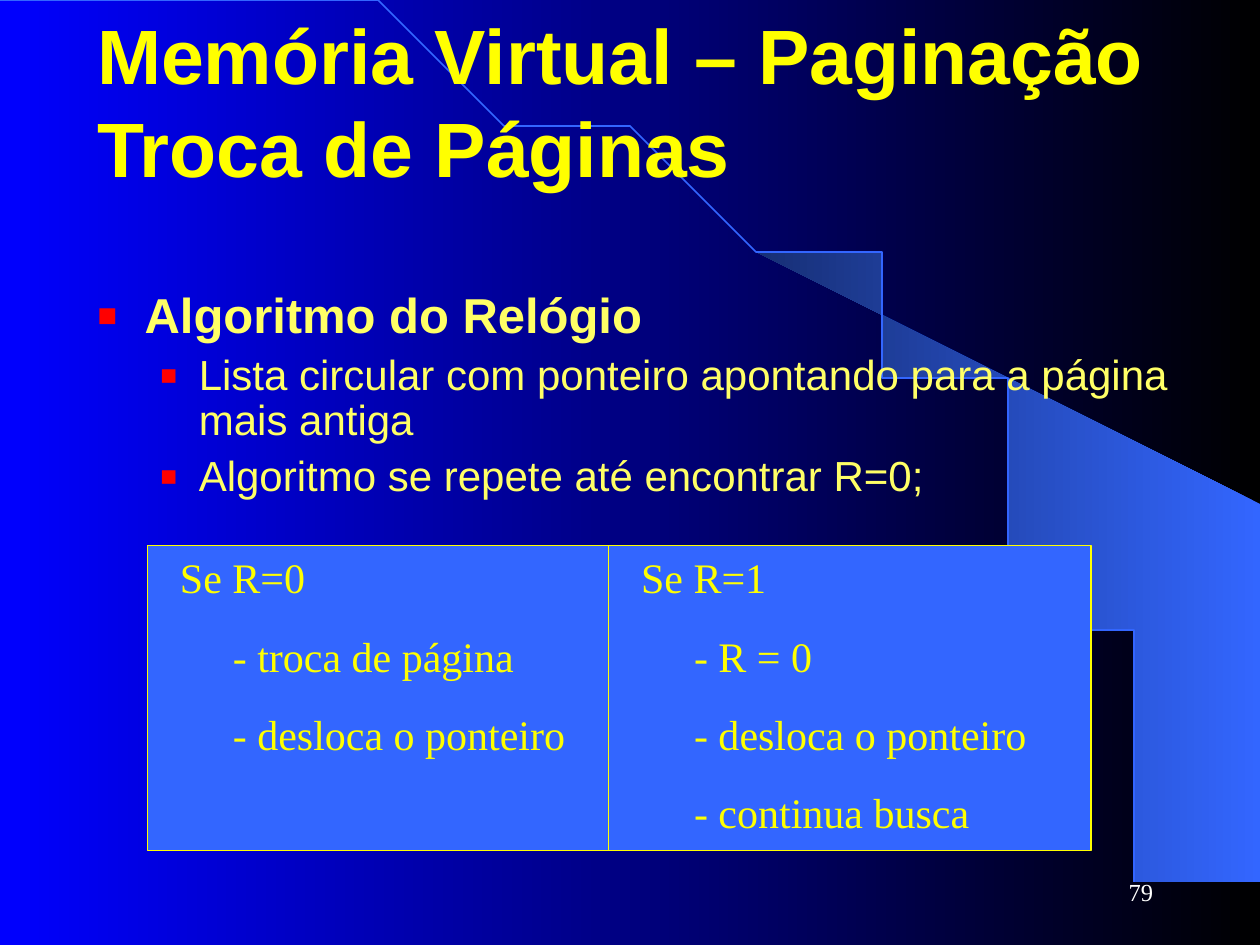
"""Build the slide on page replacement with the clock algorithm."""
from dataclasses import dataclass
from math import asin, cos, pi, sin

from lxml.etree import SubElement
from pptx import Presentation
from pptx.dml.color import RGBColor
from pptx.enum.shapes import MSO_SHAPE as SHAPE
from pptx.enum.text import MSO_ANCHOR as ANCHOR, MSO_AUTO_SIZE as AUTO, PP_ALIGN as ALIGN
from pptx.oxml.ns import qn
from pptx.util import Inches, Pt

ARC_W, ARC_H = 9.2, 7.49
WEDGE_X, EDGE_X, EDGE_Y = 5.89, 9.99, 4.23
BLUE, YELLOW, PALE, RED = "3366FF", "FFFF00", "FFFF66", "FF0000"
SANS, SERIF = "Arial", "Times New Roman"


@dataclass
class Bullet:
    text: str
    size: int
    margin: float
    hang: float
    before: int
    bold: bool = False


@dataclass
class Case:
    left: float
    width: float
    condition: str
    actions: list[str]


BULLETS = [
    Bullet("Algoritmo do Relógio", 28, 0.38, 0.38, 0, True),
    Bullet("Lista circular com ponteiro apontando para a página mais antiga", 24, 0.81, 0.31, 6),
    Bullet("Algoritmo se repete até encontrar R=0;", 24, 0.81, 0.31, 6),
]
CASES = [
    Case(1.17, 3.67, "Se R=0", ["troca de página", "desloca o ponteiro"]),
    Case(4.83, 3.83, "Se R=1", ["R = 0", "desloca o ponteiro", "continua busca"]),
]


def rgb(color: str) -> RGBColor:
    return RGBColor.from_string(color)


def set_gradient(fill, *colors: str) -> None:
    fill.gradient()
    fill.gradient_angle = 180
    for i, (stop, color) in enumerate(zip(fill.gradient_stops, colors)):
        stop.position = i
        stop.color.rgb = rgb(color)


def style(p, font: str, size: int, color: str, bold: bool = False) -> None:
    for r in p.runs:
        r.font.name, r.font.size, r.font.bold = font, Pt(size), bold
        r.font.color.rgb = rgb(color)


def indent(p, margin: float, hang: float = 0) -> None:
    pPr = p._p.get_or_add_pPr()
    pPr.set("marL", str(Inches(margin)))
    pPr.set("indent", str(-Inches(hang)))


def add_text(s, left: float, top: float, width: float, height: float):
    tf = s.shapes.add_textbox(*map(Inches, (left, top, width, height))).text_frame
    tf.word_wrap = True
    return tf


def next_paragraph(tf, i: int):
    return tf.add_paragraph() if i else tf.paragraphs[0]


def arc_points(start_x: float, steps: int = 60) -> list[tuple[float, float]]:
    start = asin(start_x / ARC_W)
    angles = [start + (pi / 2 - start) * i / steps for i in range(steps + 1)]
    return [(ARC_W * sin(a), ARC_H * (1 - cos(a))) for a in angles]


def add_outline(s, points: list[tuple[float, float]], close: bool):
    fb = s.shapes.build_freeform(*points[0], scale=Inches(1))
    fb.add_line_segments(points[1:], close=close)
    sp = fb.convert_to_shape()
    sp.shadow.inherit = False
    return sp


def draw_backdrop(s) -> None:
    set_gradient(s.background.fill, "000000", "0000FF")
    corners = [(EDGE_X, ARC_H), (EDGE_X, EDGE_Y)]
    wedge = add_outline(s, arc_points(WEDGE_X) + corners, True)
    set_gradient(wedge.fill, BLUE, "172F75")
    wedge.line.fill.background()
    arc = add_outline(s, arc_points(0), False)
    arc.fill.background()
    arc.line.color.rgb = rgb(BLUE)
    arc.line.width = Pt(1)


def draw_title(s) -> None:
    title = s.shapes.title
    s.shapes.element.append(title.element)
    title.left, title.top, title.width, title.height = map(Inches, (0.67, 0.17, 9, 1.25))
    tf = title.text_frame
    tf.text = "Memória Virtual – Paginação\vTroca de Páginas"
    tf.auto_size, tf.vertical_anchor = AUTO.NONE, ANCHOR.MIDDLE
    p = tf.paragraphs[0]
    p.alignment = ALIGN.LEFT
    style(p, SANS, 44, YELLOW, True)


def draw_bullets(s, bullets: list[Bullet]) -> None:
    tf = add_text(s, 0.67, 2.26, 9, 1.83)
    for i, b in enumerate(bullets):
        p = next_paragraph(tf, i)
        p.text = b.text
        p.line_spacing, p.space_before = 0.9, Pt(b.before)
        indent(p, b.margin, b.hang)
        pPr = p._p.get_or_add_pPr()
        SubElement(SubElement(pPr, qn("a:buClr")), qn("a:srgbClr"), val=RED)
        SubElement(pPr, qn("a:buSzPct"), val="130000")
        SubElement(pPr, qn("a:buFont"), typeface=SANS)
        SubElement(pPr, qn("a:buChar"), char="▪")
        style(p, SANS, b.size, PALE, b.bold)


def draw_case(s, case: Case) -> None:
    panel = s.shapes.add_shape(
        SHAPE.RECTANGLE, *map(Inches, (case.left, 4.33, case.width, 2.42)))
    panel.shadow.inherit = False
    panel.fill.solid()
    panel.fill.fore_color.rgb = rgb(BLUE)
    panel.line.color.rgb = rgb(YELLOW)
    panel.line.width = Pt(0.75)
    tf = add_text(s, case.left + 0.16, 4.33, case.width - 0.16, 2.33)
    for i, text in enumerate([case.condition] + [f"- {a}" for a in case.actions]):
        p = next_paragraph(tf, i)
        p.text = text
        if i:
            p.space_before = Pt(16)
            indent(p, 0.42)
        style(p, SERIF, 24, YELLOW)


def draw_number(s) -> None:
    tf = add_text(s, 7.17, 6.83, 2.08, 0.5)
    tf.text = "79"
    tf.vertical_anchor = ANCHOR.MIDDLE
    p = tf.paragraphs[0]
    p.alignment = ALIGN.RIGHT
    style(p, SERIF, 14, "FFFFFF")


def main() -> None:
    prs = Presentation()
    prs.slide_width, prs.slide_height = Inches(10), Inches(7.5)
    s = prs.slides.add_slide(prs.slide_layouts[5])
    draw_backdrop(s)
    draw_title(s)
    draw_bullets(s, BULLETS)
    for case in CASES:
        draw_case(s, case)
    draw_number(s)
    prs.save("out.pptx")


if __name__ == "__main__":
    main()
